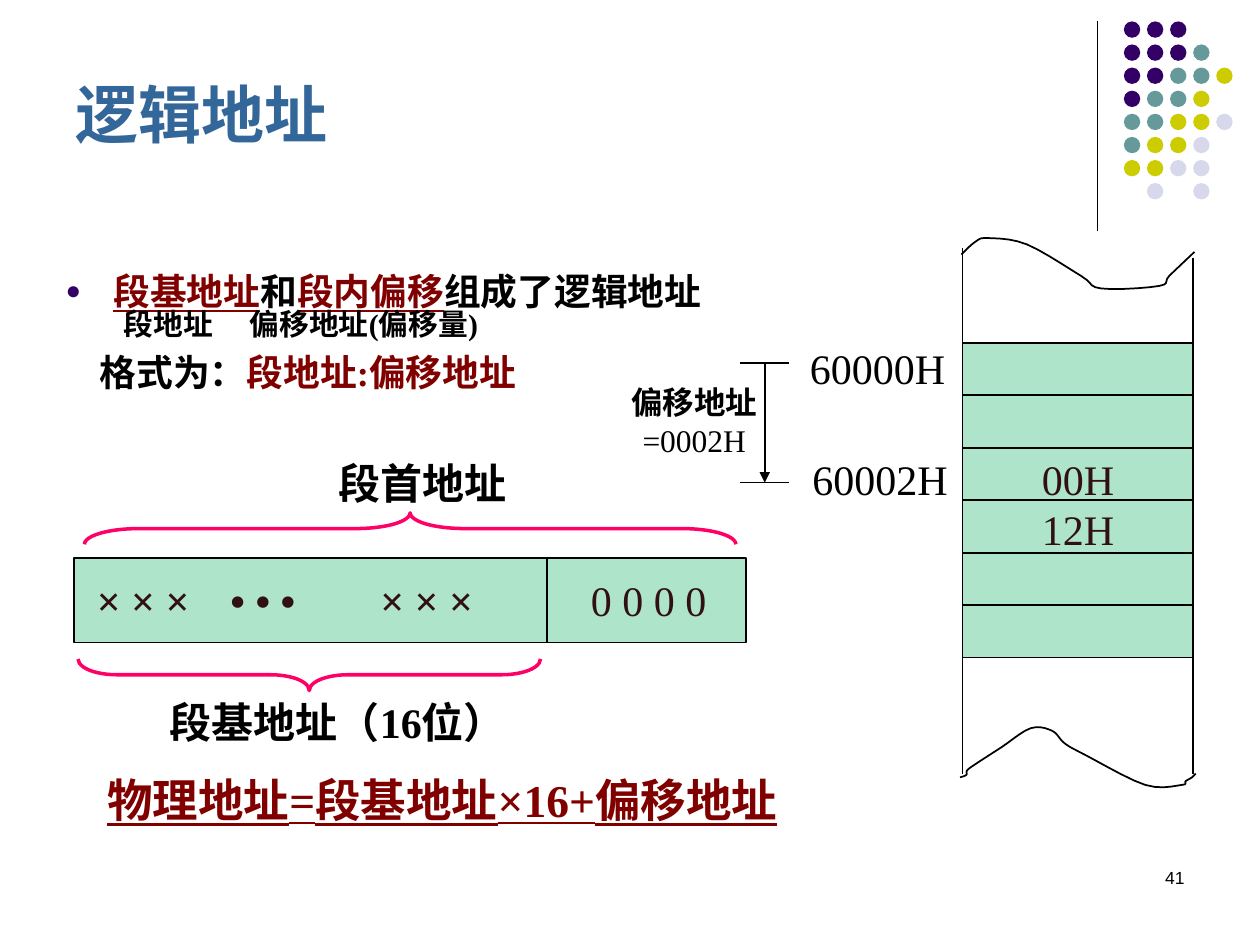
from lxml.etree import SubElement
from pptx import Presentation
from pptx.dml.color import RGBColor
from pptx.enum.shapes import MSO_CONNECTOR as Connector, MSO_SHAPE as Shape
from pptx.enum.text import MSO_ANCHOR as Anchor, MSO_AUTO_SIZE as AutoSize, PP_ALIGN as Align
from pptx.oxml.ns import qn
from pptx.util import Inches, Pt

BLACK = RGBColor(0x00, 0x00, 0x00)
BLUE = RGBColor(0x33, 0x66, 0x99)
MAROON = RGBColor(0x80, 0x00, 0x00)
BROWN = RGBColor(0x30, 0x10, 0x10)
MINT = RGBColor(0xAE, 0xE4, 0xC9)
PINK = RGBColor(0xFF, 0x00, 0x66)
PURPLE = RGBColor(0x33, 0x00, 0x66)
TEAL = RGBColor(0x66, 0x99, 0x99)
YELLOW = RGBColor(0xCC, 0xCC, 0x00)
LAVENDER = RGBColor(0xD8, 0xD8, 0xEC)
SERIF = "Times New Roman"


def add_runs(paragraph, runs, **common):
    """Add (text, format) runs that share the common font values."""
    for text, special in runs:
        run = paragraph.add_run()
        run.text = text
        values = {"name": SERIF, "color": BLACK, **common, **special}
        run.font.color.rgb = values.pop("color")
        for name, value in values.items():
            setattr(run.font, name, value)


def add_line(x1, y1, x2, y2, width=1):
    line = slide.shapes.add_connector(
        Connector.STRAIGHT, Inches(x1), Inches(y1), Inches(x2), Inches(y2))
    line.line.color.rgb = BLACK
    line.line.width = Pt(width)
    SubElement(line._element.spPr, qn("a:effectLst"))
    return line


presentation = Presentation()
presentation.slide_width = Inches(10)
presentation.slide_height = Inches(7.5)
slide = presentation.slides.add_slide(presentation.slide_layouts[1])

# Corner decoration
add_line(8.71, 0.17, 8.71, 1.83, 0.75)
dot_colors = {"P": PURPLE, "T": TEAL, "Y": YELLOW, "L": LAVENDER}
dot_rows = ["PPP", "PPPT", "PPTTY", "PTTY", "TTYYL", "TYYL", "YYLL", " L L"]
for row, letters in enumerate(dot_rows):
    for column, letter in enumerate(letters):
        if letter in dot_colors:
            dot = slide.shapes.add_shape(
                Shape.OVAL, Inches(8.92 + column * 0.55 / 3), Inches(0.17 + row * 0.55 / 3),
                Inches(0.13), Inches(0.13))
            dot.shadow.inherit = False
            dot.fill.solid()
            dot.fill.fore_color.rgb = dot_colors[letter]
            dot.line.fill.background()

# Title and body placeholders
title, body = slide.placeholders
for shape, box, anchor in [(title, (0.5, 0.43, 8.25, 0.82), Anchor.BOTTOM),
                           (body, (0.42, 2.08, 8.83, 4.83), Anchor.TOP)]:
    shape.left, shape.top, shape.width, shape.height = map(Inches, box)
    shape.text_frame.vertical_anchor = anchor
    shape.text_frame.auto_size = AutoSize.NONE
title.text_frame.paragraphs[0].alignment = Align.LEFT
add_runs(title.text_frame.paragraphs[0], [("逻辑地址", {})],
         name="Arial", size=Pt(36), bold=True, color=BLUE)

# Body lines: left margin, first indent, space before, line spacing, size, runs
key = {"color": MAROON, "underline": True}
body_lines = [
    (0.38, -0.38, 0, 1, 21, [("段基地址", key), ("和", {}), ("段内偏移", key),
                             ("组成了逻辑地址", {})]),
    (0.46, 0, 0, 0.8, 17, [("段地址\t偏移地址(偏移量)", {})]),
    (0.27, 0, 5.2, 1, 21, [("格式为：", {}), ("段地址:偏移地址", {"color": MAROON})]),
    (0.33, 0, 216, 1, 26, [("物理地址=段基地址×16+偏移地址", key)]),
]
for index, (margin, indent, before, spacing, size, runs) in enumerate(body_lines):
    paragraph = body.text_frame.paragraphs[0] if index == 0 else body.text_frame.add_paragraph()
    properties = paragraph._p.get_or_add_pPr()
    properties.set("marL", str(Inches(margin)))
    properties.set("indent", str(Inches(indent)))
    if indent:
        bullet_color = SubElement(properties, qn("a:buClr"))
        SubElement(bullet_color, qn("a:srgbClr"), val=str(PURPLE))
        SubElement(properties, qn("a:buSzPct"), val="70000")
        SubElement(properties, qn("a:buChar"), char="●")
    else:
        SubElement(properties, qn("a:buNone"))
    if "\t" in runs[0][0]:
        tabs = SubElement(properties, qn("a:tabLst"))
        SubElement(tabs, qn("a:tab"), pos=str(Inches(1.5)), algn="l")
    paragraph.space_before = Pt(before)
    paragraph.line_spacing = spacing
    add_runs(paragraph, runs, size=Pt(size), bold=True)

# Memory cells and the segment address register
cells = [(7.64, 2.72 + row * 2.5 / 6, 1.83, 2.5 / 6) for row in range(6)]
for box in cells + [(0.59, 4.43, 5.33, 0.67)]:
    rectangle = slide.shapes.add_shape(Shape.RECTANGLE, *map(Inches, box))
    rectangle.shadow.inherit = False
    rectangle.fill.solid()
    rectangle.fill.fore_color.rgb = MINT
    rectangle.line.color.rgb = BLACK
    rectangle.line.width = Pt(1)

# Memory sides, register divider and offset marks
for ends in [(7.64, 1.97, 7.64, 6.14), (9.47, 2.05, 9.47, 6.14), (4.34, 4.43, 4.34, 5.1),
             (5.87, 2.88, 6.26, 2.88), (5.87, 3.83, 6.26, 3.83)]:
    add_line(*ends)
arrow = add_line(6.07, 2.88, 6.07, 3.83)
SubElement(arrow.line._get_or_add_ln(), qn("a:tailEnd"), type="triangle")

# Torn memory edges, smoothed through their points
top_edge = [(7.63, 2.02), (7.74, 1.92), (7.84, 1.89), (8.15, 1.94), (8.58, 2.19),
            (8.74, 2.29), (9.2, 2.27), (9.28, 2.19), (9.48, 2)]
bottom_edge = [(7.62, 6.17), (7.67, 6.15), (7.68, 6.11), (7.78, 6.04), (7.95, 5.93),
               (8.18, 5.78), (8.35, 5.8), (8.45, 5.9), (8.61, 5.99), (9.09, 6.23),
               (9.38, 6.23), (9.41, 6.2), (9.46, 6.17), (9.49, 6.14)]
for edge in (top_edge, bottom_edge):
    curve = []
    padded = [edge[0], *edge, edge[-1]]
    for a, b, c, d in zip(padded, padded[1:], padded[2:], padded[3:]):
        for t in (0.2, 0.4, 0.6, 0.8, 1):
            curve.append([Inches(q + t * (r - p) / 2 + t**2 * (2 * p - 5 * q + 4 * r - s) / 2
                                 + t**3 * (3 * q - p - 3 * r + s) / 2)
                          for p, q, r, s in zip(a, b, c, d)])
    builder = slide.shapes.build_freeform(Inches(edge[0][0]), Inches(edge[0][1]))
    builder.add_line_segments(curve, close=False)
    wave = builder.convert_to_shape()
    wave.shadow.inherit = False
    wave.fill.background()
    wave.line.color.rgb = BLACK
    wave.line.width = Pt(1)

# Braces above and below the register
for left, top, length, rotation, bend in [(2.33, 3.52, 3.67, 270, 1.22),
                                          (3.13, 1.61, 5.17, 90, 1.72)]:
    brace = slide.shapes.add_shape(
        Shape.LEFT_BRACE, Inches(left), Inches(top), Inches(0.25), Inches(length))
    brace.rotation = rotation
    brace.adjustments[0] = bend
    brace.shadow.inherit = False
    brace.fill.background()
    brace.line.color.rgb = PINK
    brace.line.width = Pt(2)

# Labels
bold = {"bold": True}
labels = [
    ((6.33, 2.67, 1.33, 0.5), "60000H", {}),
    ((6.35, 3.55, 1.33, 0.5), "60002H", {}),
    ((8.17, 3.55, 0.92, 0.5), "00H", {"color": BROWN}),
    ((8.17, 3.95, 0.92, 0.5), "12H", {"color": BROWN}),
    ((4.59, 4.51, 1.25, 0.5), "0 0 0 0", {"color": BROWN}),
    ((0.67, 4.51, 2.33, 0.5), "× × ×\t• • •", {"color": BROWN, **bold}),
    ((2.92, 4.51, 1.5, 0.5), "× × ×", {"color": BROWN, **bold}),
    ((1.25, 5.48, 3.12, 0.5), "段基地址（16位）", bold),
    ((2.59, 3.58, 1.58, 0.5), "段首地址", bold),
    ((7.17, 6.83, 2.33, 0.5), "41", {"name": "Arial", "size": Pt(10)}),
]
for box, text, values in labels:
    frame = slide.shapes.add_textbox(*map(Inches, box)).text_frame
    frame.word_wrap = True
    paragraph = frame.paragraphs[0]
    if "\t" in text:
        tabs = SubElement(paragraph._p.get_or_add_pPr(), qn("a:tabLst"))
        SubElement(tabs, qn("a:tab"), pos=str(Inches(1.06)), algn="l")
    if text == "41":
        paragraph.alignment = Align.RIGHT
    add_runs(paragraph, [(text, values)], **{"size": Pt(24), **values})

# Offset label
frame = slide.shapes.add_textbox(Inches(5), Inches(3.04), Inches(1.02), Inches(0.6)).text_frame
frame.word_wrap = True
for side in ("left", "top", "right", "bottom"):
    setattr(frame, f"margin_{side}", 0)
frame.paragraphs[0].alignment = Align.CENTER
add_runs(frame.paragraphs[0], [("偏移地址", bold), ("=0002H", {})], size=Pt(18))

presentation.save("out.pptx")
